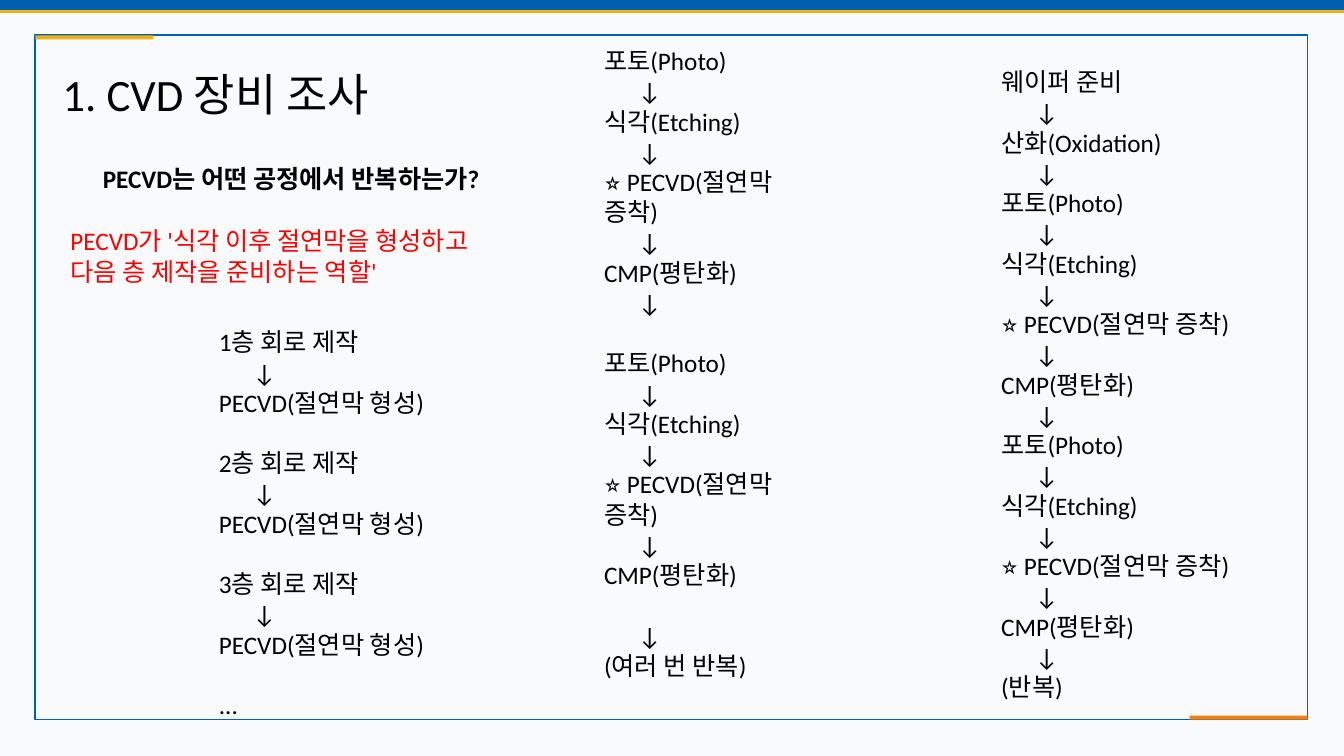
from pptx import Presentation
from pptx.dml.color import RGBColor
from pptx.enum.shapes import MSO_SHAPE
from pptx.enum.text import MSO_ANCHOR, MSO_AUTO_SIZE, PP_ALIGN
from pptx.util import Inches, Pt
from lxml import etree

COLORS = {"back": "F8FAFC", "blue": "0060B0", "gold": "F0B010",
          "orange": "F08010", "text": "000000", "role": "FF0000"}
WIDTH, HEIGHT = Inches(13.33), Inches(7.5)
FONT = "Calibri"
ARROW, GAP = "↓", ""
ARROW_INDENT = Inches(0.34)
LINE_GAP = Pt(21.6)
CYCLE = ["포토(Photo)", "식각(Etching)", "⭐ PECVD(절연막 증착)", "CMP(평탄화)"]


def box(x, y, w, h):
    """Turn percentages of the slide's size into lengths."""
    return [int(share * size / 100)
            for share, size in zip((x, y, w, h), (WIDTH, HEIGHT) * 2)]


def rgb(name):
    return RGBColor.from_string(COLORS[name])


def flow(*steps):
    """Join process steps with down arrows."""
    lines = [steps[0]]
    for step in steps[1:]:
        lines += [ARROW, step]
    return lines


def add_bar(slide, place, fill=None, line=None):
    bar = slide.shapes.add_shape(MSO_SHAPE.RECTANGLE, *box(*place))
    bar.shadow.inherit = False
    if fill:
        bar.fill.solid()
        bar.fill.fore_color.rgb = rgb(fill)
    else:
        bar.fill.background()
    if line:
        bar.line.color.rgb = rgb(line)
        bar.line.width = Pt(1.13)
    else:
        bar.line.fill.background()
    return bar


def add_backdrop(slide):
    """Page colour, top stripes and accented frame, behind all text."""
    x, y, w, h = frame = (2.63, 4.67, 94.67, 90.53)
    accent = (8.78, 0.53)
    bars = [
        add_bar(slide, (0, 0, 100, 100), "back"),
        add_bar(slide, (0, 0, 100, 1.33), "blue"),
        add_bar(slide, (0, 1.33, 100, 0.4), "gold"),
        add_bar(slide, frame, line="blue"),
        add_bar(slide, (x, y, *accent), "gold"),
        add_bar(slide, (x + w - accent[0], y + h - accent[1], *accent), "orange"),
    ]
    tree = slide.shapes._spTree
    for position, bar in enumerate(bars, start=2):
        tree.insert(position, bar._element)


def format_paragraph(paragraph, text, size, color, bold):
    paragraph.alignment = PP_ALIGN.LEFT
    paragraph.space_before = paragraph.space_after = Pt(0)
    paragraph.line_spacing = 1.0
    props = paragraph._p.get_or_add_pPr()
    props.set("marL", str(ARROW_INDENT if text == ARROW else 0))
    props.set("indent", "0")
    etree.SubElement(props, props.tag.replace("}pPr", "}buNone"))
    run = paragraph.add_run()
    run.text = text
    font = run.font
    font.name, font.size, font.bold = FONT, Pt(size), bold
    font.color.rgb = rgb(color)


def write(shape, place, lines, size=18, color="text", bold=False, wrap=True):
    """Place a text holder and fill it; a GAP opens space before the next line."""
    shape.left, shape.top, shape.width, shape.height = box(*place)
    frame = shape.text_frame
    frame.auto_size = MSO_AUTO_SIZE.NONE
    frame.word_wrap = wrap
    frame.vertical_anchor = MSO_ANCHOR.TOP
    paragraph, gap = frame.paragraphs[0], False
    for number, line in enumerate(lines):
        if line == GAP:
            gap = True
            continue
        if number:
            paragraph = frame.add_paragraph()
        format_paragraph(paragraph, line, size, color, bold)
        if gap:
            paragraph.space_before = LINE_GAP
        gap = False


def main():
    prs = Presentation()
    prs.slide_width, prs.slide_height = WIDTH, HEIGHT
    slide = prs.slides.add_slide(prs.slide_layouts.get_by_name("Comparison"))
    add_backdrop(slide)

    # Title, question and answer
    title, question, layers, repeats, full_process = list(slide.placeholders)[:5]
    write(title, (3.9, 8.13, 25.66, 8.53), ["1. CVD 장비 조사"], size=32, wrap=False)
    write(question, (6.9, 20.93, 50.04, 5.33),
          ["PECVD는 어떤 공정에서 반복하는가?"], bold=True)
    role_place = (4.5, 29.2, 34.51, 9.47)
    write(slide.shapes.add_textbox(*box(*role_place)), role_place,
          ["PECVD가 '식각 이후 절연막을 형성하고 다음 층 제작을 준비하는 역할'"],
          color="role")

    # Circuit layers
    layer_lines = []
    for layer in range(1, 4):
        layer_lines += flow(f"{layer}층 회로 제작", "PECVD(절연막 형성)") + [GAP]
    write(layers, (15.53, 42.53, 18.83, 53.87), layer_lines + ["..."])

    # Repeated cycle
    cycle = flow(*CYCLE)
    write(repeats, (44.19, 5.33, 14.85, 86.13),
          cycle + [ARROW, GAP] + cycle + [GAP, ARROW, "(여러 번 반복)"])

    # Whole process from the wafer on
    write(full_process, (73.74, 8.13, 26.2, 86.13),
          flow("웨이퍼 준비", "산화(Oxidation)", *CYCLE, *CYCLE, "(반복)"))

    # Unused date, footer and number holders
    for holder in list(slide.placeholders):
        if not holder.text_frame.text:
            holder._element.getparent().remove(holder._element)
    prs.save("out.pptx")


main()
